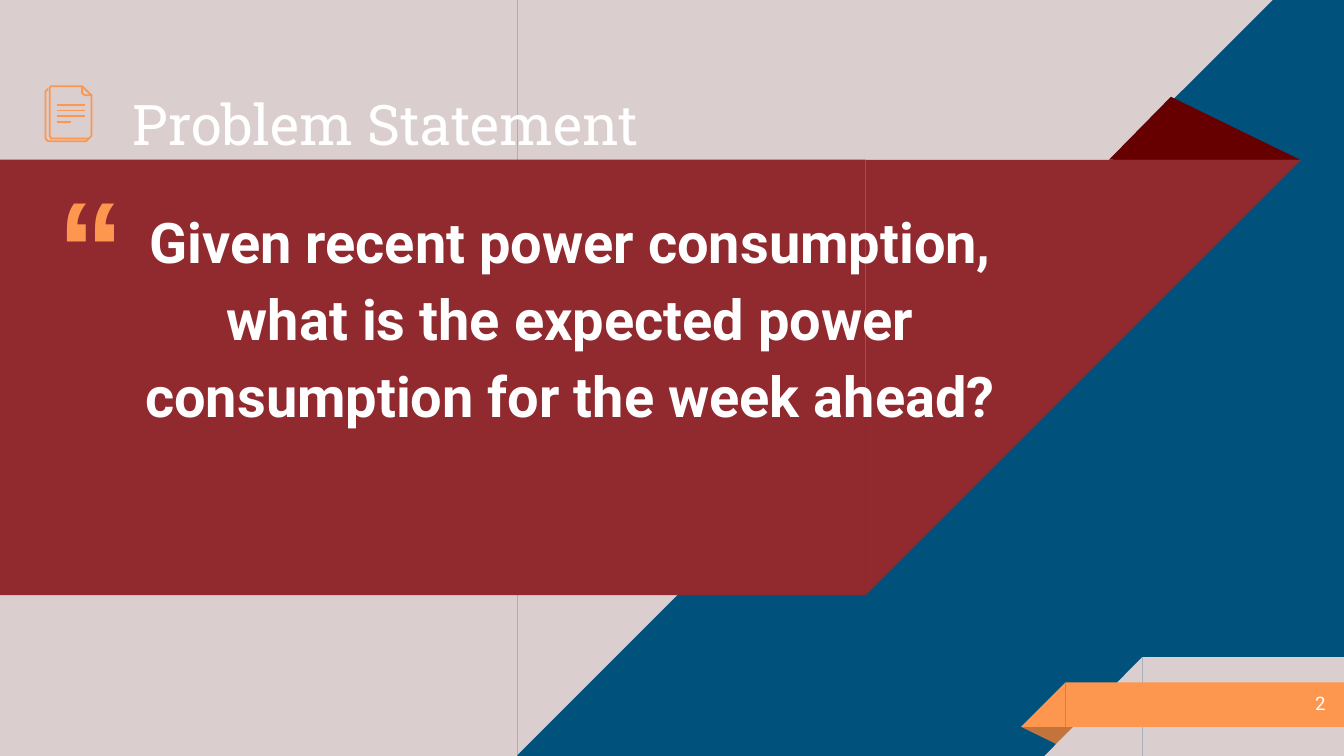
from pptx import Presentation
from pptx.dml.color import RGBColor
from pptx.enum.shapes import MSO_SHAPE as SHAPE, MSO_CONNECTOR as CONNECTOR
from pptx.enum.text import MSO_ANCHOR as ANCHOR, MSO_AUTO_SIZE as AUTO, PP_ALIGN as ALIGN
from pptx.oxml.ns import qn
from pptx.util import Cm, Pt
from lxml.etree import SubElement

COLORS = {
    "blue": "00517C", "sand": "DACECE", "red": "912A2F", "dark_red": "660000",
    "orange": "FD974F", "brown": "C3743C", "white": "FFFFFF",
}


def rgb(name):
    return RGBColor.from_string(COLORS[name])


def write(sp, box, text, font, size, color, bold=False, align=ALIGN.LEFT,
          anchor=ANCHOR.TOP, spacing=1.0):
    sp.left, sp.top, sp.width, sp.height = [Cm(v) for v in box]
    tf = sp.text_frame
    tf.text = text
    tf.word_wrap = True
    tf.auto_size = AUTO.NONE
    tf.vertical_anchor = anchor
    tf.margin_left = tf.margin_right = tf.margin_top = tf.margin_bottom = Cm(0.25)
    p = tf.paragraphs[0]
    p.alignment = align
    p.line_spacing = spacing
    p.space_before = Pt(0)
    f = p.runs[0].font
    f.name, f.size, f.bold = font, Pt(size), bold
    f.color.rgb = rgb(color)


prs = Presentation()
prs.slide_width, prs.slide_height = Cm(25.4), Cm(14.29)
s = prs.slides.add_slide(prs.slide_layouts[1])
s.background.fill.solid()
s.background.fill.fore_color.rgb = rgb("blue")
title, body = s.shapes.title, s.placeholders[1]

bands = [
    (SHAPE.RECTANGLE, 0, 0, 9.78, 14.29, "sand", 0, False),
    (SHAPE.RIGHT_TRIANGLE, 9.78, -0.02, 14.29, 14.29, "sand", 180, True),
    (SHAPE.RECTANGLE, 0, 3.02, 16.36, 8.23, "red", 0, False),
    (SHAPE.RIGHT_TRIANGLE, 16.36, 3.02, 8.23, 8.23, "red", 180, True),
    (SHAPE.ISOSCELES_TRIANGLE, 20.96, 1.83, 3.61, 1.19, "dark_red", 0, False),
    (SHAPE.ISOSCELES_TRIANGLE, 19.3, 13.74, 1.09, 0.36, "brown", 180, False),
    (SHAPE.RECTANGLE, 21.59, 12.42, 3.81, 1.87, "sand", 0, False),
    (SHAPE.RIGHT_TRIANGLE, 19.74, 12.42, 1.85, 1.87, "sand", 0, True),
    (SHAPE.RIGHT_TRIANGLE, 19.3, 12.9, 0.84, 0.84, "orange", 0, True),
    (SHAPE.RECTANGLE, 20.14, 12.9, 5.26, 0.84, "orange", 0, False),
]
for kind, x, y, w, h, color, rotation, flipped in bands:
    sp = s.shapes.add_shape(kind, Cm(x), Cm(y), Cm(w), Cm(h))
    sp.shadow.inherit = False
    sp.fill.solid()
    sp.fill.fore_color.rgb = rgb(color)
    sp.line.fill.background()
    sp.rotation = rotation
    if flipped:
        sp._element.spPr.find(qn("a:xfrm")).set("flipH", "1")
    if kind == SHAPE.ISOSCELES_TRIANGLE:
        sp.adjustments[0] = 0.324

back_sheet = [(0.91, 1.68), (0.86, 1.73), (0.86, 2.62), (0.91, 2.67),
              (1.63, 2.67), (1.68, 2.62)]
front_sheet = [(1.55, 1.63), (0.97, 1.63), (0.94, 1.66), (0.94, 2.57), (0.97, 2.62),
               (1.68, 2.62), (1.73, 2.57), (1.73, 1.8)]
folded_corner = [(1.55, 1.63), (1.73, 1.8), (1.6, 1.8), (1.55, 1.76)]
for points, closed in [(back_sheet, False), (front_sheet, False), (folded_corner, True)]:
    start, *rest = [(Cm(x), Cm(y)) for x, y in points]
    builder = s.shapes.build_freeform(*start)
    builder.add_line_segments(rest, close=closed)
    sp = builder.convert_to_shape()
    sp.shadow.inherit = False
    sp.fill.background()
    sp.line.color.rgb = rgb("orange")
    sp.line.width = Pt(0.96)

for i, right in enumerate([1.6, 1.6, 1.6, 1.35]):
    y = Cm(1.98 + i * 0.11)
    line = s.shapes.add_connector(CONNECTOR.STRAIGHT, Cm(1.07), y, Cm(right), y)
    line.line.color.rgb = rgb("orange")
    line.line.width = Pt(0.96)
    SubElement(line._element.spPr, qn("a:effectLst"))

quote = s.shapes.add_textbox(0, 0, 0, 0)
write(quote, (0.79, 2.82, 1.88, 1.8), "“", "Arial", 72, "orange",
      bold=True, align=ALIGN.CENTER)
number = s.shapes.add_textbox(0, 0, 0, 0)
write(number, (21.16, 12.88, 4.14, 0.89), "2", "Roboto", 10, "white",
      align=ALIGN.RIGHT, anchor=ANCHOR.MIDDLE, spacing=0.8)

write(title, (2.26, 1.09, 14.6, 2.13), "Problem Statement", "Roboto Slab", 30, "white",
      anchor=ANCHOR.BOTTOM)
write(body, (2.26, 3.48, 17.04, 8.74),
      "Given recent power consumption, what is the expected power "
      "consumption for the week ahead?",
      "Roboto", 30, "white", bold=True, align=ALIGN.CENTER, spacing=1.15)
pPr = body.text_frame.paragraphs[0]._p.get_or_add_pPr()
pPr.set("marL", "0")
pPr.set("indent", "0")
SubElement(pPr, qn("a:buNone"))
for sp in (title, body):
    s.shapes._spTree.append(sp._element)

prs.save("out.pptx")
